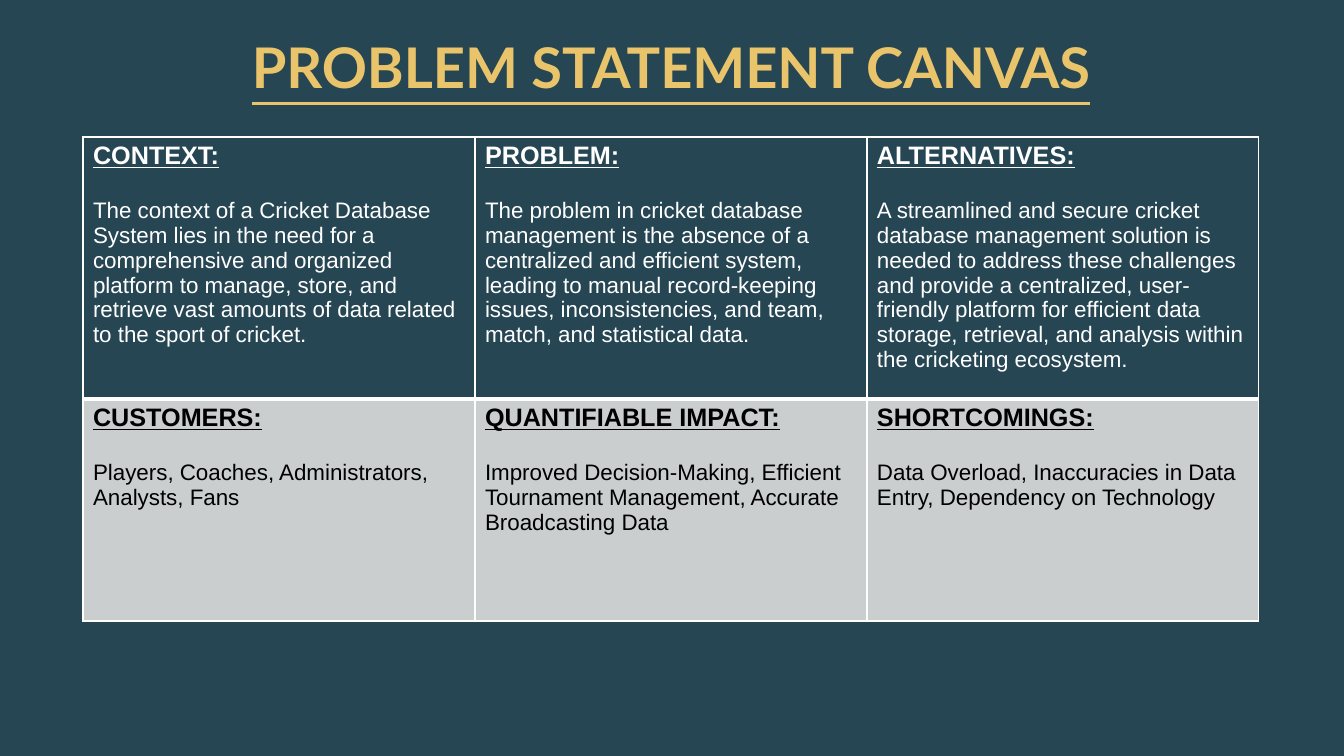
from lxml.etree import SubElement
from pptx import Presentation
from pptx.dml.color import RGBColor as RGB
from pptx.enum.text import MSO_ANCHOR as Anchor, PP_ALIGN as Align
from pptx.oxml.ns import qn
from pptx.util import Pt

EMU_PER_PX = 914400 / 100.8
COLORS = {
    "teal": "264653",
    "gold": "E9C46A",
    "white": "FFFFFF",
    "black": "000000",
    "gray": "CBCECF",
}
ROW_STYLES = [("teal", "white"), ("gray", "black")]
ROW_HEIGHTS = [262, 222]
COLUMN_WIDTH = 392
CANVAS = [
    [
        ("CONTEXT:", ["The context of a Cricket Database System lies in the need for a "
                      "comprehensive and organized platform to manage, store, and retrieve "
                      "vast amounts of data related to the sport of cricket."]),
        ("PROBLEM:", ["The problem in cricket database management is the absence of a "
                      "centralized and efficient system, leading to manual record-keeping "
                      "issues, inconsistencies, and team, match, and statistical data."]),
        ("ALTERNATIVES:", ["A streamlined and secure cricket database management solution is "
                           "needed to address these challenges and provide a centralized, "
                           "user-friendly platform for efficient data storage, retrieval, and "
                           "analysis within the cricketing ecosystem."]),
    ],
    [
        ("CUSTOMERS:", ["Players, Coaches, Administrators,", "Analysts, Fans"]),
        ("QUANTIFIABLE IMPACT:", ["Improved Decision-Making, Efficient Tournament Management, "
                                  "Accurate Broadcasting Data"]),
        ("SHORTCOMINGS:", ["Data Overload, Inaccuracies in Data Entry, "
                           "Dependency on Technology"]),
    ],
]


def px(n):
    return round(n * EMU_PER_PX)


def rgb(name):
    return RGB.from_string(COLORS[name])


def write(p, text, *, size, color, font="Arial", heading=False, align=Align.LEFT, after=0):
    p.alignment = align
    p.space_after = Pt(after)
    r = p.add_run()
    r.text = text
    r.font.name = font
    r.font.size = Pt(size)
    r.font.bold = heading
    r.font.underline = heading
    r.font.color.rgb = rgb(color)


def add_title(s, text):
    tf = s.shapes.add_textbox(px(83), px(33), px(1176), px(67)).text_frame
    tf.word_wrap = True
    tf.vertical_anchor = Anchor.BOTTOM
    tf.margin_left = tf.margin_top = tf.margin_right = tf.margin_bottom = 0
    write(tf.paragraphs[0], text, size=40, color="gold", font="Lato",
          heading=True, align=Align.CENTER)


def set_borders(cell, widths):
    tc_pr = cell._tc.get_or_add_tcPr()
    for side, width in widths.items():
        ln = SubElement(tc_pr, qn(f"a:ln{side}"), w=str(Pt(width)))
        fill = SubElement(ln, qn("a:solidFill"))
        SubElement(fill, qn("a:srgbClr"), val=COLORS["white"])


def fill_cell(cell, heading, lines, fill, color):
    cell.fill.solid()
    cell.fill.fore_color.rgb = rgb(fill)
    tf = cell.text_frame
    write(tf.paragraphs[0], heading, size=18, color=color, heading=True, after=20)
    for line in lines:
        write(tf.add_paragraph(), line, size=16, color=color)


def add_canvas(s):
    n_rows, n_cols = len(CANVAS), len(CANVAS[0])
    table = s.shapes.add_table(n_rows, n_cols, px(83), px(137),
                               px(COLUMN_WIDTH * n_cols), px(sum(ROW_HEIGHTS))).table
    for column in table.columns:
        column.width = px(COLUMN_WIDTH)
    for i, (entries, height, style) in enumerate(zip(CANVAS, ROW_HEIGHTS, ROW_STYLES)):
        table.rows[i].height = px(height)
        widths = {"L": 1, "R": 1, "T": 3 if i else 1, "B": 1 if i else 3}
        for j, (heading, lines) in enumerate(entries):
            cell = table.cell(i, j)
            set_borders(cell, widths)
            fill_cell(cell, heading, lines, *style)


def main():
    prs = Presentation()
    prs.slide_width, prs.slide_height = px(1344), px(756)
    s = prs.slides.add_slide(prs.slide_layouts[6])
    s.background.fill.solid()
    s.background.fill.fore_color.rgb = rgb("teal")
    add_title(s, "PROBLEM STATEMENT CANVAS")
    add_canvas(s)
    prs.save("out.pptx")


if __name__ == "__main__":
    main()
